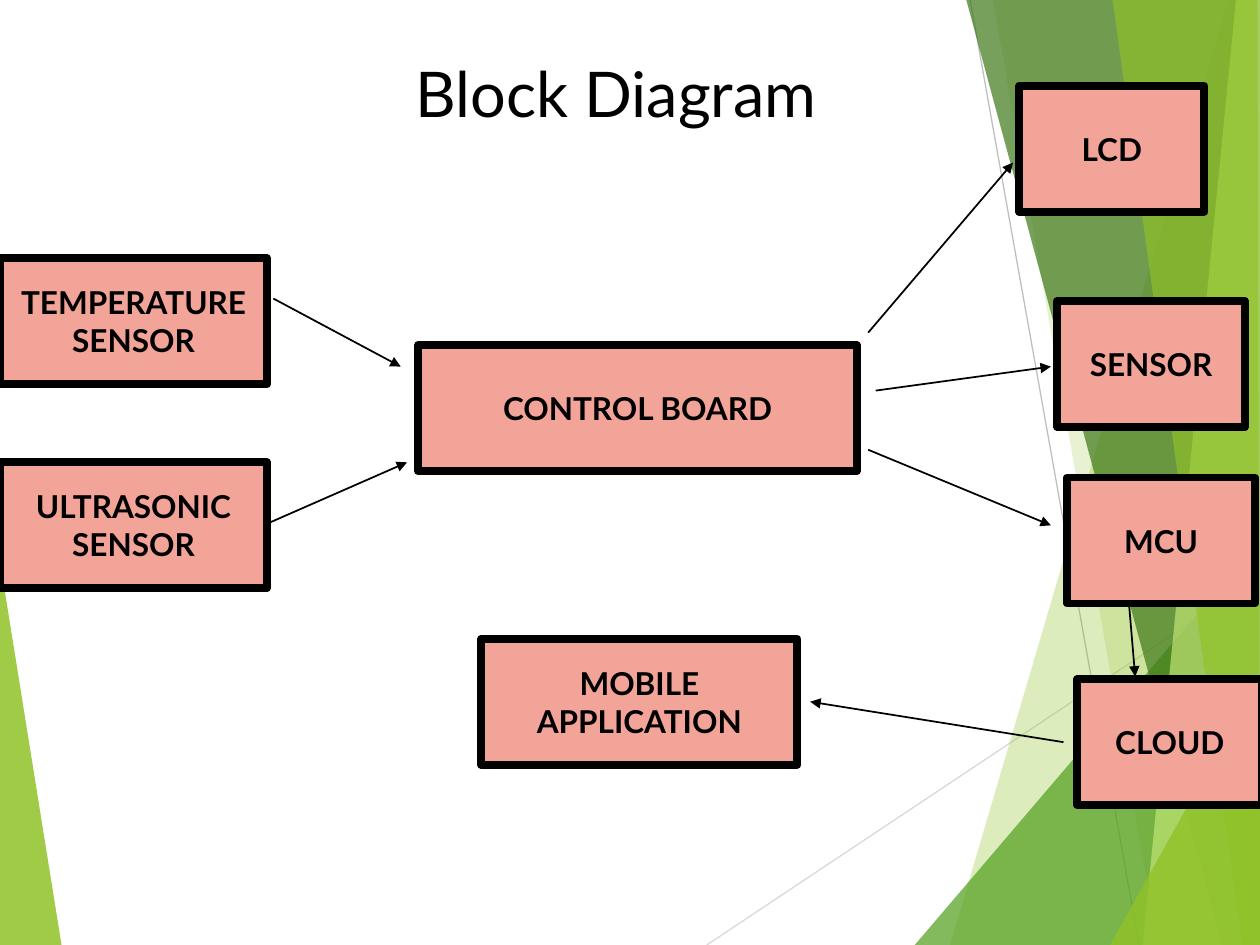
"""Build the block diagram slide with its faceted green backdrop."""
from dataclasses import dataclass

import pptx
import pptx.dml.color
import pptx.enum.shapes
import pptx.enum.text
import pptx.oxml.ns
import pptx.oxml.xmlchemy
import pptx.util
from lxml import etree

RGBColor = pptx.dml.color.RGBColor
Pt = pptx.util.Pt
Point = tuple[float, float]

FONT = "Lato"
BLACK = RGBColor(0x00, 0x00, 0x00)
SALMON = RGBColor(0xF2, 0xA4, 0x99)
LIGHT_GRAY = RGBColor(0xD9, 0xD9, 0xD9)
GRAY = RGBColor(0xBF, 0xBF, 0xBF)
LIME = RGBColor(0x90, 0xC2, 0x26)
LEAF = RGBColor(0x54, 0xA0, 0x21)
FOREST = RGBColor(0x3F, 0x78, 0x19)
PALE_LIME = RGBColor(0xC0, 0xE4, 0x74)

WIDTH, HEIGHT = 720, 540
BOX_HEIGHT = 72


@dataclass(frozen=True)
class Facet:
    points: tuple[Point, ...]
    color: RGBColor
    opacity: int


@dataclass(frozen=True)
class Block:
    label: str
    left: float
    top: float
    width: float


@dataclass(frozen=True)
class Link:
    start: Point
    end: Point
    color: RGBColor = BLACK
    weight: float = 1
    arrow: bool = True


BACK_FACET = Facet(((-0.7, 316), (35.3, 540.7), (-0.7, HEIGHT)), LIME, 85)

BACK_LINES = (
    Link((403.9, HEIGHT), (720.7, 329), LIGHT_GRAY, 0.75, False),
    Link((554.4, 0), (650.9, HEIGHT), GRAY, 0.75, False),
)

FACETS = (
    Facet(((702, 0), (542.9, HEIGHT), (721.4, HEIGHT), (720.7, 0)), LIME, 30),
    Facet(((567.4, 0), (661.7, HEIGHT), (720.7, HEIGHT), (720.7, 0)), LIME, 20),
    Facet(((522.7, HEIGHT), (720, 308.9), (720.7, HEIGHT)), LEAF, 72),
    Facet(((552.2, 0), (698.4, HEIGHT), (720.7, HEIGHT), (720.7, 0)), FOREST, 70),
    Facet(((706.3, 0), (653, HEIGHT), (720.7, HEIGHT), (720, 0)), PALE_LIME, 70),
    Facet(((635.8, 0), (709.9, HEIGHT), (720, HEIGHT), (718.6, 0)), LIME, 65),
    Facet(((634.3, HEIGHT), (720.7, 385.2), (720.7, HEIGHT)), LIME, 80),
)

BLOCKS = (
    Block("TEMPERATURE SENSOR", 0, 147.6, 152.6),
    Block("ULTRASONIC SENSOR", 0, 264.2, 152.6),
    Block("SENSOR", 604.1, 172.1, 107.3),
    Block("LCD", 582.5, 49, 105.8),
    Block("MCU", 609.8, 272.9, 107.3),
    Block("CONTROL BOARD", 239, 197.3, 250.6),
    Block("CLOUD", 615.6, 388.1, 105.8),
    Block("MOBILE APPLICATION", 275, 365, 180.7),
)

LINKS = (
    Link((156.2, 170.6), (229, 209.5)),
    Link((150.5, 300.2), (232.6, 264.2)),
    Link((496.1, 190.1), (578.9, 92.9)),
    Link((500.4, 223.2), (600.5, 209.5)),
    Link((496.1, 257), (600.5, 300.2)),
    Link((607.7, 424.1), (463, 401)),
    Link((645.1, 344.2), (648.7, 386.6)),
)


def write_text(shape, text: str, *, size: float, bold: bool = False,
               color: RGBColor = BLACK) -> None:
    """Put centred, wrapped text in a shape."""
    frame = shape.text_frame
    frame.word_wrap = True
    frame.vertical_anchor = pptx.enum.text.MSO_ANCHOR.MIDDLE
    para = frame.paragraphs[0]
    para.alignment = pptx.enum.text.PP_ALIGN.CENTER
    span = para.add_run()
    span.text = text
    span.font.name = FONT
    span.font.size = Pt(size)
    span.font.bold = bold
    span.font.color.rgb = color


def draw_facet(page, facet: Facet) -> None:
    """Draw one translucent polygon."""
    first, *others = [(Pt(x), Pt(y)) for x, y in facet.points]
    builder = page.shapes.build_freeform(*first)
    builder.add_line_segments(others, close=True)
    shape = builder.convert_to_shape()
    shape.shadow.inherit = False
    shape.line.fill.background()
    shape.fill.solid()
    shape.fill.fore_color.rgb = facet.color
    color = shape._element.spPr.find(".//" + pptx.oxml.ns.qn("a:srgbClr"))
    alpha = etree.SubElement(color, pptx.oxml.ns.qn("a:alpha"))
    alpha.set("val", str(facet.opacity * 1000))


def draw_block(page, block: Block) -> None:
    """Draw one labelled box."""
    box = page.shapes.add_shape(
        pptx.enum.shapes.MSO_SHAPE.RECTANGLE,
        Pt(block.left), Pt(block.top), Pt(block.width), Pt(BOX_HEIGHT))
    box.shadow.inherit = False
    box.fill.solid()
    box.fill.fore_color.rgb = SALMON
    box.line.color.rgb = BLACK
    box.line.width = Pt(4.5)
    write_text(box, block.label, size=18, bold=True)


def draw_link(page, link: Link) -> None:
    """Draw a straight line, with an arrowhead if wanted."""
    line = page.shapes.add_connector(
        pptx.enum.shapes.MSO_CONNECTOR.STRAIGHT,
        *map(Pt, link.start + link.end))
    line.line.color.rgb = link.color
    line.line.width = Pt(link.weight)
    properties = line._element.spPr
    if link.arrow:
        outline = properties.find(pptx.oxml.ns.qn("a:ln"))
        head = etree.SubElement(outline, pptx.oxml.ns.qn("a:tailEnd"))
        head.set("type", "triangle")
    etree.SubElement(properties, pptx.oxml.ns.qn("a:effectLst"))


def main() -> None:
    """Build and save the deck."""
    deck = pptx.Presentation()
    deck.slide_width, deck.slide_height = Pt(WIDTH), Pt(HEIGHT)
    page = deck.slides.add_slide(deck.slide_layouts.get_by_name("Title Only"))
    title = page.shapes.title
    title.left, title.top = Pt(164.2), Pt(27.4)
    title.width, title.height = Pt(375.8), Pt(51.1)
    write_text(title, "Block Diagram", size=36)

    draw_facet(page, BACK_FACET)
    for line in BACK_LINES:
        draw_link(page, line)
    for facet in FACETS:
        draw_facet(page, facet)
    for block in BLOCKS:
        draw_block(page, block)
    for link in LINKS:
        draw_link(page, link)
    deck.save("out.pptx")


if __name__ == "__main__":
    main()
